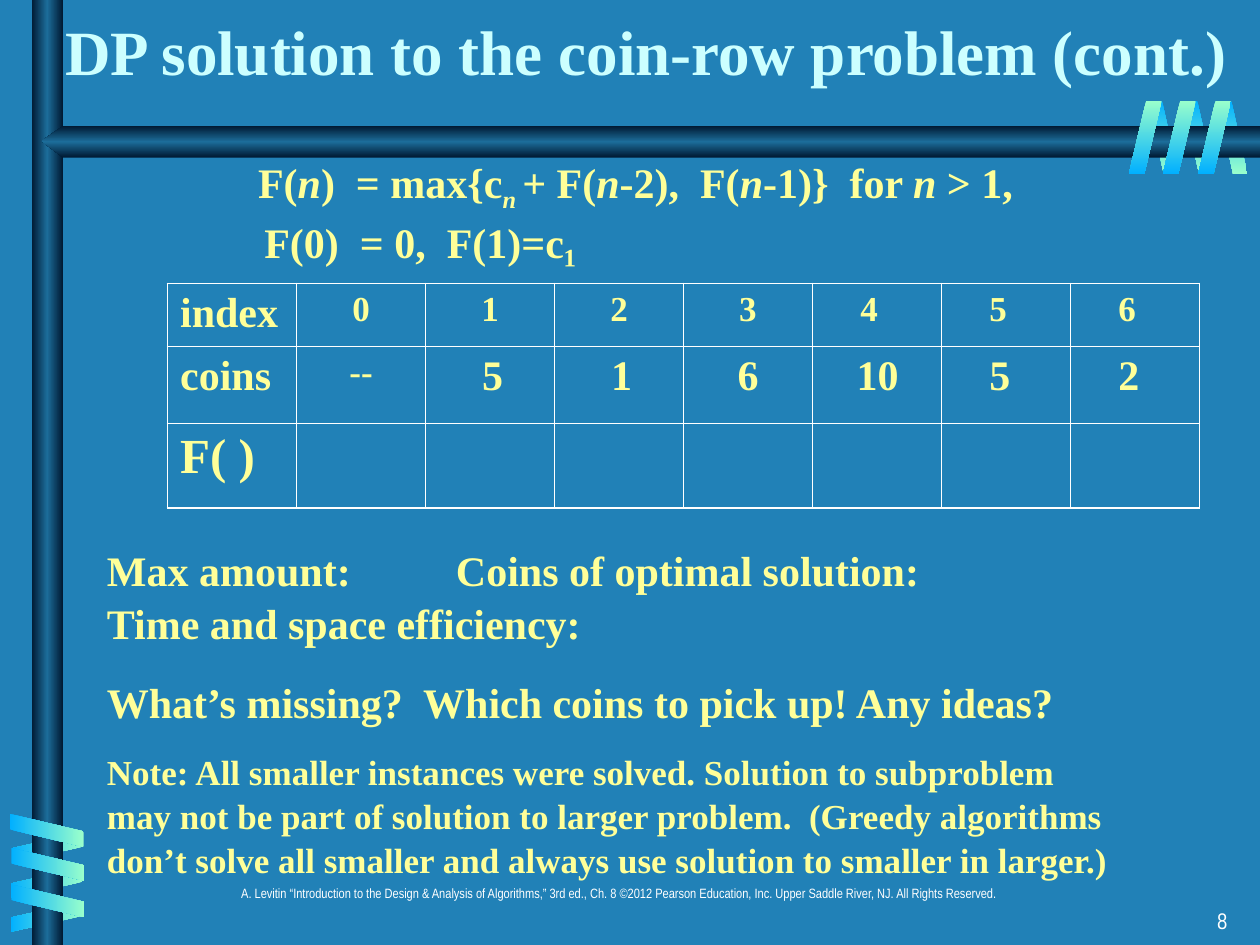
from dataclasses import dataclass
from typing import NamedTuple

from lxml import etree
from pptx import Presentation
from pptx import util as u
from pptx.dml.color import RGBColor
from pptx.enum import shapes, text
from pptx.oxml import ns


@dataclass(frozen=True)
class Theme:
    background: str = "2181B7"
    title: str = "CCFFFF"
    body: str = "FFFF99"
    white: str = "FFFFFF"
    bar: tuple = ("001932", "1C6D9A", "001932")
    cool: tuple = ("01B0FF", "99FFCC")
    warm: tuple = ("99FFCC", "01B0FF")
    serif: str = "Times New Roman"
    narrow: str = "Arial Narrow"
    title_size: float = 36
    function_size: float = 28
    large: float = 24
    small: float = 20
    number_size: float = 12.9
    footer_size: float = 7.7
    outer_line: float = 1.08
    inner_line: float = 0.45


class Coil(NamedTuple):
    spots: tuple
    size: tuple
    rotation: int
    flipped: bool
    colours: tuple
    angle: int


class Span(NamedTuple):
    words: str
    italic: bool = False
    baseline: int = 0


class Line(NamedTuple):
    spans: tuple
    size: float
    before: float = 0
    align: str = "LEFT"
    indent: float = 0
    tab: float = 0
    spacing: float = 1.0
    font: str = Theme.serif
    colour: str = Theme.body
    bold: bool = True


class Entry(NamedTuple):
    words: str
    size: float
    align: str = "LEFT"
    indent: float = 0


THEME = Theme()


def apply(target, formats: dict) -> None:
    for name, value in formats.items():
        setattr(target, name, value)


def add_element(parent, tag: str, **attributes):
    return etree.SubElement(parent, ns.qn(tag), attributes)


def paint_gradient(shape, colours: tuple, angle: int) -> None:
    shape.shadow.inherit = False
    shape.line.fill.background()
    shape.fill.gradient()
    gradient = shape.fill._xPr.find(ns.qn("a:gradFill"))
    for child in list(gradient):
        gradient.remove(child)
    gradient.set("rotWithShape", "0")
    stops = add_element(gradient, "a:gsLst")
    for index, colour in enumerate(colours):
        stop = add_element(stops, "a:gs", pos=str(100000 * index // (len(colours) - 1)))
        add_element(stop, "a:srgbClr", val=colour)
    add_element(gradient, "a:lin", ang=str(angle * 60000), scaled="0")


def draw_coil(page, coil: Coil) -> None:
    for left, top in coil.spots:
        strand = page.shapes.add_shape(
            shapes.MSO_SHAPE.PARALLELOGRAM, *map(u.Inches, (left, top, *coil.size)))
        strand.adjustments[0] = 0.53
        strand.rotation = coil.rotation
        if coil.flipped:
            strand._element.spPr.find(ns.qn("a:xfrm")).set("flipH", "1")
        paint_gradient(strand, coil.colours, coil.angle)


def draw_bars(page) -> None:
    post = page.shapes.add_shape(
        shapes.MSO_SHAPE.RECTANGLE, *map(u.Inches, (0.25, 0, 0.25, 7.5)))
    paint_gradient(post, THEME.bar, 0)
    outline = page.shapes.build_freeform(u.Inches(10), u.Inches(1), scale=1.0)
    corners = ((0.5, 1), (0.33, 1.12), (0.5, 1.25), (10, 1.25))
    outline.add_line_segments([(u.Inches(x), u.Inches(y)) for x, y in corners], close=True)
    paint_gradient(outline.convert_to_shape(), THEME.bar, 90)


def write_line(para, line: Line) -> None:
    properties = para._p.get_or_add_pPr()
    if line.indent:
        properties.set("marL", str(u.Inches(line.indent)))
        properties.set("indent", "0")
    if line.tab:
        tabs = add_element(properties, "a:tabLst")
        add_element(tabs, "a:tab", pos=str(u.Inches(line.tab)), algn="l")
    apply(para, {"alignment": getattr(text.PP_ALIGN, line.align),
                 "space_before": u.Pt(line.before), "line_spacing": line.spacing})
    for item in line.spans:
        for index, words in enumerate(item.words.split("\n")):
            if index:
                para.add_line_break()
            span = para.add_run()
            span.text = words
            apply(span.font, {"name": line.font, "size": u.Pt(line.size),
                              "bold": line.bold, "italic": item.italic})
            span.font.color.rgb = RGBColor.from_string(line.colour)
            if item.baseline:
                span._r.get_or_add_rPr().set("baseline", str(item.baseline * 1000))


def draw_text(page, area: tuple, lines: list[Line], anchor: str = "TOP") -> None:
    frame = page.shapes.add_textbox(*map(u.Inches, area)).text_frame
    apply(frame, {"word_wrap": True,
                  "vertical_anchor": getattr(text.MSO_ANCHOR, anchor)})
    for index, line in enumerate(lines):
        write_line(frame.add_paragraph() if index else frame.paragraphs[0], line)


def border_cell(cell, outer: dict) -> None:
    cell.fill.background()
    properties = cell._tc.get_or_add_tcPr()
    for index, (side, is_outer) in enumerate(outer.items()):
        width = THEME.outer_line if is_outer else THEME.inner_line
        edge = etree.Element(ns.qn(f"a:ln{side}"), w=str(u.Pt(width)))
        add_element(add_element(edge, "a:solidFill"), "a:srgbClr", val=THEME.white)
        properties.insert(index, edge)


def draw_table(page, area: tuple, heights: tuple, rows: list[list[Entry]]) -> None:
    columns = len(rows[0])
    frame = page.shapes.add_table(len(rows), columns, *map(u.Inches, area))
    table = frame.table
    apply(table, {"first_row": False, "horz_banding": False})
    for row, height in zip(table.rows, heights):
        row.height = u.Inches(height)
    for r, row in enumerate(rows):
        for c in range(columns):
            cell = table.cell(r, c)
            border_cell(cell, {"L": c == 0, "R": c == columns - 1,
                               "T": r == 0, "B": r == len(rows) - 1})
            if c < len(row):
                entry = row[c]
                write_line(cell.text_frame.paragraphs[0],
                           Line((Span(entry.words),), entry.size,
                                align=entry.align, indent=entry.indent))


def main() -> None:
    deck = Presentation()
    apply(deck, {"slide_width": u.Inches(10), "slide_height": u.Inches(7.5)})
    page = deck.slides.add_slide(deck.slide_layouts[6])
    page.background.fill.solid()
    page.background.fill.fore_color.rgb = RGBColor.from_string(THEME.background)

    draw_coil(page, Coil(((9.66, 0.8), (9.39, 0.8), (9.11, 0.8)), (0.24, 0.58), 180, True, THEME.cool, 90))
    draw_coil(page, Coil(((0.26, 6.44), (0.25, 6.72), (0.25, 6.99)), (0.24, 0.57), 90, True, THEME.warm, 0))
    draw_bars(page)
    draw_coil(page, Coil(((0.24, 6.3), (0.25, 6.57), (0.25, 6.86)), (0.26, 0.58), 270, False, THEME.cool, 0))
    draw_coil(page, Coil(((9.51, 0.8), (9.23, 0.8), (8.96, 0.8)), (0.26, 0.58), 0, False, THEME.warm, 90))

    small_print = {"font": THEME.narrow, "colour": THEME.white, "bold": False}
    draw_text(page, (1.42, 7, 7, 0.33), [Line((Span(
        "A. Levitin “Introduction to the Design & Analysis of Algorithms,” 3rd ed., Ch. 8 "
        "©2012 Pearson Education, Inc. Upper Saddle River, NJ. All Rights Reserved. "),),
        THEME.footer_size, align="CENTER", spacing=0.8, **small_print)])
    draw_text(page, (7.76, 7.17, 2.08, 0.33), [Line(
        (Span("8"),), THEME.number_size, align="RIGHT", spacing=0.9, **small_print)])
    draw_text(page, (0.42, 0, 9.58, 0.75), [Line(
        (Span("DP solution to the coin-row problem (cont.)"),),
        THEME.title_size, colour=THEME.title)], "BOTTOM")

    big, small = THEME.large, THEME.small
    indices = [Entry("index", big)] + [
        Entry(str(n), small, "LEFT" if n > 3 else "CENTER", 0.28 if n > 3 else 0)
        for n in range(7)]
    coins = [Entry("coins", big), Entry("--", small, "CENTER")] + [
        Entry(words, big, indent=indent) for words, indent in (
            ("5", 0.35), ("1", 0.35), ("6", 0.33), ("10", 0.25), ("5", 0.28), ("2", 0.28))]
    draw_table(page, (1.33, 2.25, 8.19, 1.78), (0.5, 0.61, 0.67),
               [indices, coins, [Entry("F( )", THEME.function_size)]])

    n = Span("n", True)
    formula = (Span("F("), n, Span(")  = max{c"), Span("n ", True, -25), Span("+ F("), n,
               Span("-2),  F("), n, Span("-1)}  for "), Span("n ", True), Span("> 1, "))
    draw_text(page, (0.5, 1.17, 9.17, 0.96), [
        Line(formula, big, align="CENTER", spacing=1.05),
        Line((Span("F(0)  = 0,  F(1)=c₁"),), big, indent=1.5, spacing=1.05)])
    draw_text(page, (0.75, 4.25, 8.25, 2.69), [
        Line((Span("Max amount:\tCoins of optimal solution:\nTime and space efficiency:"),),
             big, tab=2.77, spacing=1.05),
        Line((Span("What’s missing?  Which coins to pick up! Any ideas?"),), big, 15, spacing=1.05),
        Line((Span("Note: All smaller instances were solved. Solution to subproblem may not be "
                   "part of solution to larger problem.  (Greedy algorithms don’t solve all "
                   "smaller and always use solution to smaller in larger.)"),),
             small, 12.5, spacing=1.05)])
    deck.save("out.pptx")


if __name__ == "__main__":
    main()
